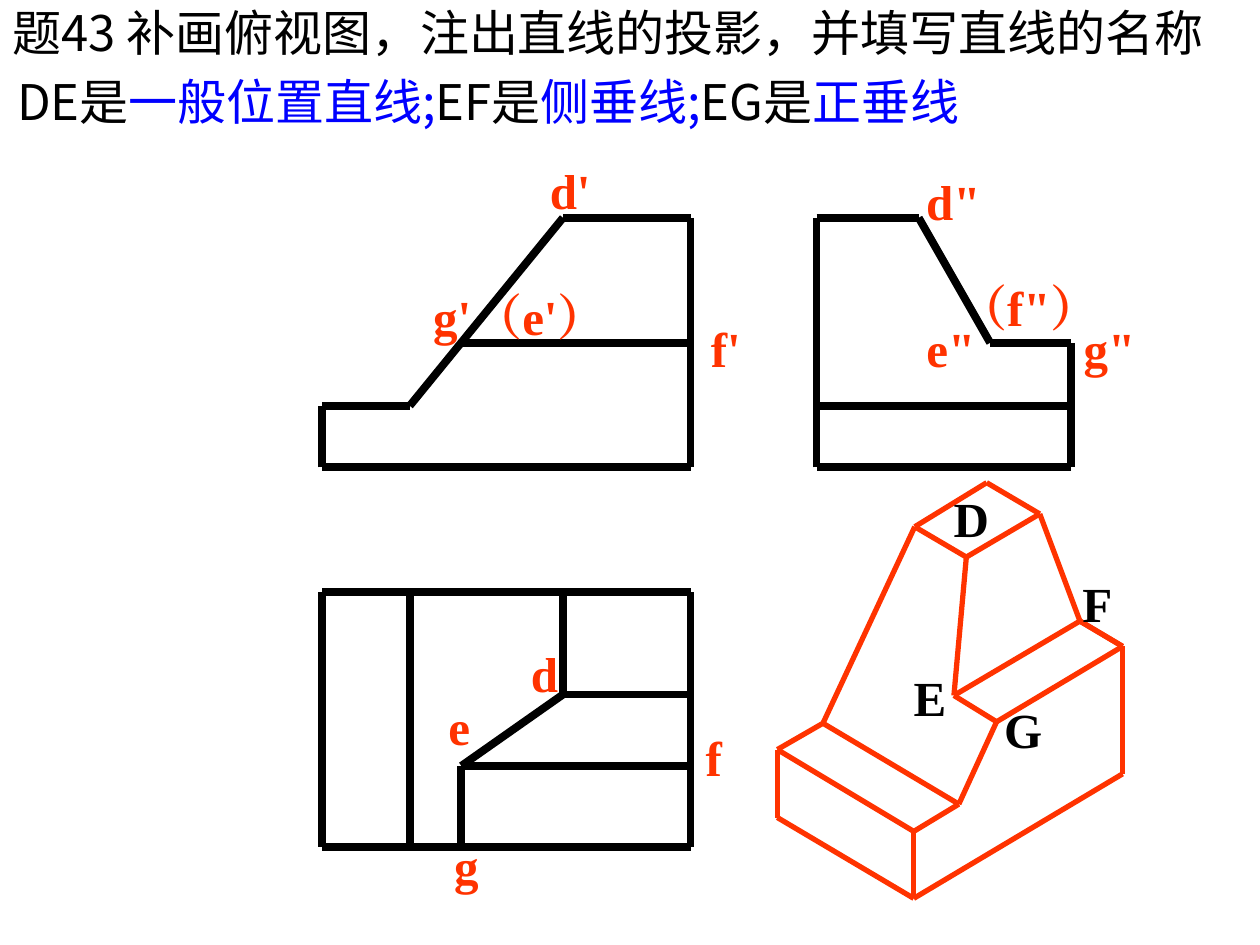
from itertools import pairwise

from lxml import etree
from pptx import Presentation
from pptx import util as u
from pptx.dml.color import RGBColor
from pptx.enum import shapes, text
from pptx.oxml import ns

COLORS = {"black": "000000", "red": "FF3300", "blue": "0000FF"}
SANS, SERIF = "Noto Sans CJK SC", "Times New Roman"

HEADINGS = [
    (0, -0.08, 25.37, [("题43 补画俯视图，注出直线的投影，并填写直线的名称", "black")]),
    (0.1, 1.32, 23.98, [
        ("DE是", "black"), ("一般位置直线;", "blue"),
        ("EF是", "black"), ("侧垂线;", "blue"),
        ("EG是", "black"), ("正垂线", "blue"),
    ]),
]

LEFT, STEP, NOTCH, PEAK, RIGHT = 6.5, 8.26, 9.3, 11.35, 13.92
TOP, LEDGE, TREAD, BASE = 4.39, 6.91, 8.18, 9.42
SIDE_BACK, SIDE_PEAK, SIDE_LEDGE, SIDE_FRONT = 16.46, 18.52, 19.96, 21.59
PLAN_BACK, PLAN_PEAK, PLAN_LEDGE, PLAN_FRONT = 11.94, 14, 15.44, 17.07

FRONT_VIEW = [
    [(LEFT, TREAD), (STEP, TREAD), (PEAK, TOP), (RIGHT, TOP),
     (RIGHT, BASE), (LEFT, BASE), (LEFT, TREAD)],
    [(NOTCH, LEDGE), (RIGHT, LEDGE)],
]
SIDE_VIEW = [
    [(SIDE_BACK, TOP), (SIDE_PEAK, TOP), (SIDE_LEDGE, LEDGE), (SIDE_FRONT, LEDGE),
     (SIDE_FRONT, BASE), (SIDE_BACK, BASE), (SIDE_BACK, TOP)],
    [(SIDE_BACK, TREAD), (SIDE_FRONT, TREAD)],
]
PLAN_VIEW = [
    [(LEFT, PLAN_BACK), (RIGHT, PLAN_BACK), (RIGHT, PLAN_FRONT),
     (LEFT, PLAN_FRONT), (LEFT, PLAN_BACK)],
    [(STEP, PLAN_BACK), (STEP, PLAN_FRONT)],
    [(PEAK, PLAN_BACK), (PEAK, PLAN_PEAK), (NOTCH, PLAN_LEDGE), (NOTCH, PLAN_FRONT)],
    [(PEAK, PLAN_PEAK), (RIGHT, PLAN_PEAK)],
    [(NOTCH, PLAN_LEDGE), (RIGHT, PLAN_LEDGE)],
]

SOLID_CORNERS = {
    "A": (18.44, 10.62), "B": (19.89, 9.73), "C": (20.96, 10.36), "D": (19.48, 11.23),
    "E": (19.23, 14.02), "F": (21.77, 12.52), "G": (20.09, 14.55), "H": (22.63, 13.03),
    "I": (22.63, 15.6), "J": (18.42, 18.11), "K": (15.67, 16.48), "L": (15.67, 15.11),
    "M": (18.42, 16.76), "N": (19.33, 16.21), "O": (16.59, 14.58),
}
SOLID_EDGES = ["ABCDA", "AOLKJIHFC", "DEFHGE", "GNMJ", "LM", "ON"]
SOLID = [[SOLID_CORNERS[corner] for corner in chain] for chain in SOLID_EDGES]

DRAWINGS = [(SOLID, "red", 3)] + [
    (view, "black", 4.5) for view in (FRONT_VIEW, SIDE_VIEW, PLAN_VIEW)
]

LABELS = {
    "red": [
        ("d'", 10.82, 3.12, 1.35), ("g'", 8.48, 5.66, 1.27),
        ("（e'）", 9.27, 5.66, 3.23), ("f'", 14.07, 6.3, 1.12),
        ('d"', 18.42, 3.33, 1.6), ('e"', 18.42, 6.3, 1.5),
        ('（f"）', 19.05, 5.46, 3.38), ('g"', 21.59, 6.3, 1.55),
        ("d", 10.44, 12.85, 1.07), ("e", 8.79, 13.92, 0.94),
        ("f", 13.97, 14.55, 0.84), ("g", 8.89, 16.71, 1.02),
    ],
    "black": [
        ("D", 18.97, 9.73, 1.22), ("F", 21.56, 11.43, 1.12),
        ("E", 18.16, 13.34, 1.17), ("G", 19.99, 13.97, 1.27),
    ],
}


def color(name):
    return RGBColor.from_string(COLORS[name])


def add_edge(page, start, end, name, width):
    ends = [u.Cm(value) for value in (*start, *end)]
    edge = page.shapes.add_connector(shapes.MSO_CONNECTOR.STRAIGHT, *ends)
    edge.line.color.rgb = color(name)
    edge.line.width = u.Pt(width)
    etree.SubElement(edge._element.spPr, ns.qn("a:effectLst"))


def add_text(page, left, top, width, spans, font, wrap):
    box = page.shapes.add_textbox(u.Cm(left), u.Cm(top), u.Cm(width), u.Cm(1.45))
    box.text_frame.word_wrap = wrap
    para = box.text_frame.paragraphs[0]
    para.font.name = font
    para.font.size = u.Pt(28)
    defaults = para._p.pPr.find(ns.qn("a:defRPr"))
    etree.SubElement(defaults, ns.qn("a:ea"), typeface=font)
    for words, name in spans:
        span = para.add_run()
        span.text = words
        span.font.color.rgb = color(name)
    return para


def main():
    deck = Presentation()
    deck.slide_width, deck.slide_height = u.Cm(25.4), u.Cm(19.05)
    page = deck.slides.add_slide(deck.slide_layouts[6])
    for chains, name, width in DRAWINGS:
        for chain in chains:
            for start, end in pairwise(chain):
                add_edge(page, start, end, name, width)
    for name, labels in LABELS.items():
        for words, left, top, width in labels:
            para = add_text(page, left, top, width, [(words, name)], SERIF, len(words) > 2)
            para.alignment = text.PP_ALIGN.CENTER
            para.font.bold = True
    for left, top, width, spans in HEADINGS:
        add_text(page, left, top, width, spans, SANS, True)
    deck.save("out.pptx")


if __name__ == "__main__":
    main()
